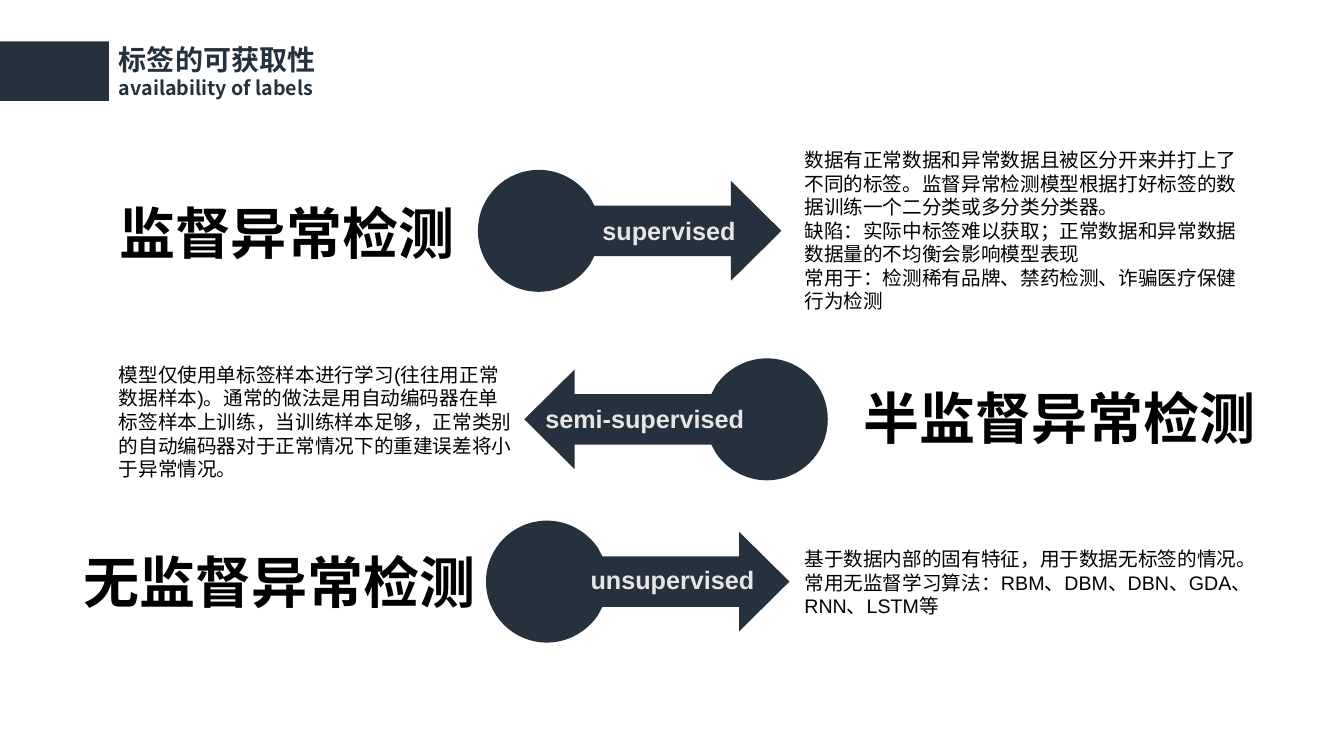
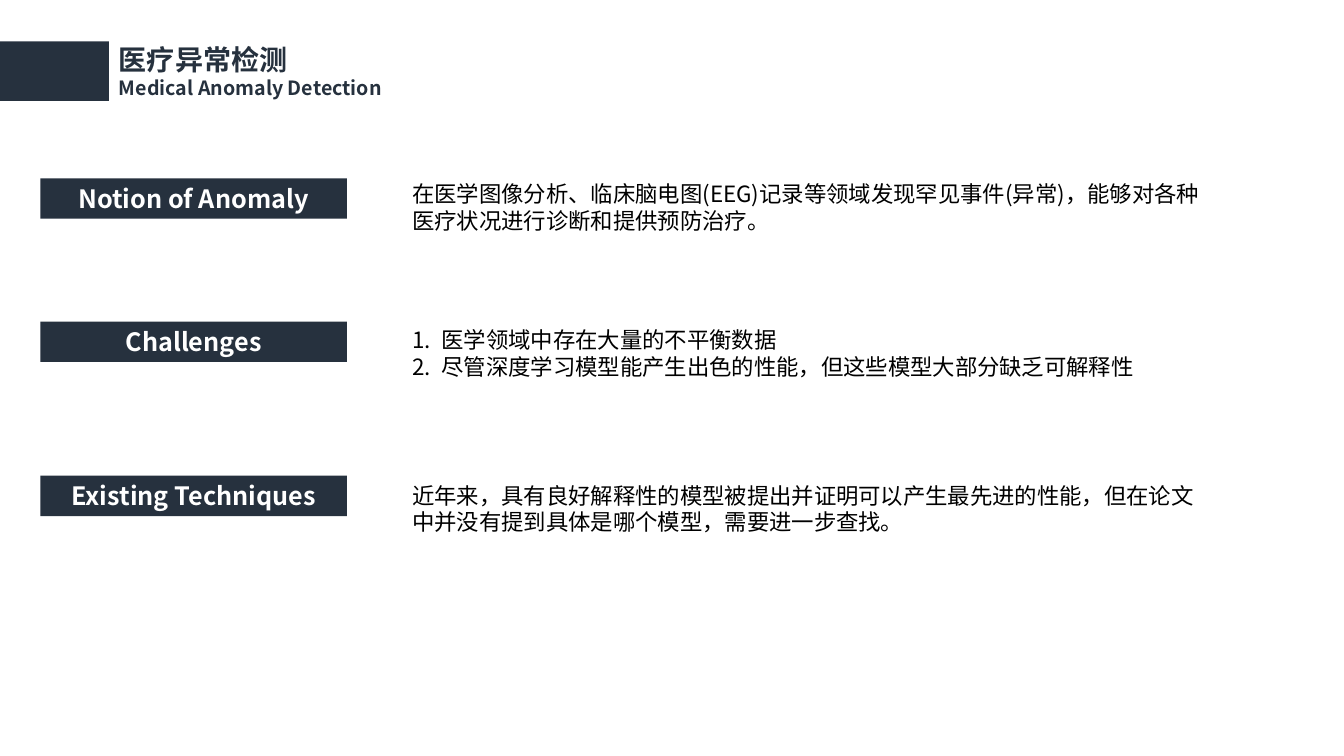
from lxml.etree import SubElement
from pptx import Presentation
from pptx.dml.color import RGBColor
from pptx.enum.shapes import MSO_SHAPE
from pptx.enum.text import MSO_ANCHOR, MSO_AUTO_SIZE, PP_ALIGN
from pptx.oxml.ns import qn
from pptx.util import Pt

PX = 9144  # 100 px to the inch
SLIDE_SIZE = (1333, 750)

NAVY = RGBColor(0x26, 0x31, 0x3E)
PALE = RGBColor(0xE7, 0xE6, 0xE6)
WHITE = RGBColor(0xFF, 0xFF, 0xFF)
BLACK = RGBColor(0x00, 0x00, 0x00)
ARIAL = "Arial"
NOTO = "Noto Sans CJK SC"
LINE_HEIGHT = 1.2

TITLE_BAND = (0, 41, 108, 59)
TITLE_BOX = (108, 37, 439, 67)

# Arrow with a round tail, as points around its middle line
ARROW_LENGTH = 301
TAIL_TOP = (60.5, -60.5)
TAIL_SHOULDER = [(81.5, -60.5), (100, -49.5), (111, -33.5)]
UPPER_SHAFT = [(115.5, -25), (251, -25), (251, -49.5)]
TIP = (301, 0)
TAIL_BACK = [(27, 60.5), (0, 33.5), (0, 0), (0, -33.5), (27, -60.5), TAIL_TOP]

LABELS_TITLE = ["标签的可获取性", "availability of labels"]
DETECTION_KINDS = [
    {
        "heading": "监督异常检测", "heading_box": (108, 192, 353, 77),
        "label": "supervised", "label_box": (584, 209, 159, 40),
        "middle": 229, "arrow_left": 474, "points_left": False,
        "body_box": (788, 142, 467, 175),
        "body": [
            "数据有正常数据和异常数据且被区分开来并打上了不同的标签。监督异常检测模型根据打好标签的数据训练一个二分类或多分类分类器。",
            "缺陷：实际中标签难以获取；正常数据和异常数据数据量的不均衡会影响模型表现",
            "常用于：检测稀有品牌、禁药检测、诈骗医疗保健行为检测",
        ],
    },
    {
        "heading": "半监督异常检测", "heading_box": (846, 376, 409, 77),
        "label": "semi-supervised", "label_box": (531, 395, 217, 40),
        "middle": 416, "arrow_left": 520, "points_left": True,
        "body_box": (108, 355, 413, 128),
        "body": [
            "模型仅使用单标签样本进行学习(往往用正常数据样本)。通常的做法是用自动编码器在单标签样本上训练，当训练样本足够，正常类别的自动编码器对于正常情况下的重建误差将小于异常情况。",
        ],
    },
    {
        "heading": "无监督异常检测", "heading_box": (72, 538, 409, 77),
        "label": "unsupervised", "label_box": (576, 555, 182, 40),
        "middle": 577, "arrow_left": 482, "points_left": False,
        "body_box": (788, 538, 467, 81),
        "body": [
            "基于数据内部的固有特征，用于数据无标签的情况。",
            "常用无监督学习算法：RBM、DBM、DBN、GDA、RNN、LSTM等",
        ],
    },
]

MEDICAL_TITLE = ["医疗异常检测", "Medical Anomaly Detection"]
TOPIC_LEFT, TOPIC_WIDTH, TOPIC_HEIGHT = 40, 304, 40
DETAIL_LEFT, DETAIL_HEIGHT = 399, 64
NUMBER_INDENT = 29
# Topic, top of its band, top and width of its details, whether numbered
MEDICAL_TOPICS = [
    ("Notion of Anomaly", 177, 174, 805, False, [
        "在医学图像分析、临床脑电图(EEG)记录等领域发现罕见事件(异常)，能够对各种医疗状况进行诊断和提供预防治疗。",
    ]),
    ("Challenges", 319, 319, 824, True, [
        "医学领域中存在大量的不平衡数据",
        "尽管深度学习模型能产生出色的性能，但这些模型大部分缺乏可解释性",
    ]),
    ("Existing Techniques", 472, 473, 805, False, [
        "近年来，具有良好解释性的模型被提出并证明可以产生最先进的性能，但在论文中并没有提到具体是哪个模型，需要进一步查找。",
    ]),
]


def emu(*lengths):
    return [round(length * PX) for length in lengths]


def number_paragraph(paragraph):
    properties = paragraph._p.get_or_add_pPr()
    indent, = emu(NUMBER_INDENT)
    properties.set("marL", str(indent))
    properties.set("indent", str(-indent))
    SubElement(properties, qn("a:buAutoNum"), type="arabicPeriod")


def write(shape, lines, sizes, font_name, color, bold=False, align=PP_ALIGN.LEFT,
          anchor=MSO_ANCHOR.TOP, wrap=True, numbered=False):
    """Fill a shape with one paragraph per line; sizes holds one size per line."""
    frame = shape.text_frame
    frame.text = "\n".join(lines)
    frame.word_wrap = wrap
    frame.auto_size = MSO_AUTO_SIZE.NONE
    frame.vertical_anchor = anchor
    for paragraph, size in zip(frame.paragraphs, sizes):
        paragraph.alignment = align
        paragraph.space_before = Pt(0)
        paragraph.line_spacing = Pt(size * LINE_HEIGHT)
        if numbered:
            number_paragraph(paragraph)
        for run in paragraph.runs:
            run.font.size = Pt(size)
            run.font.bold = bold
            run.font.name = font_name
            run.font.color.rgb = color
            SubElement(run._r.get_or_add_rPr(), qn("a:ea"), typeface=font_name)


def paint(shape):
    shape.shadow.inherit = False
    shape.fill.solid()
    shape.fill.fore_color.rgb = NAVY
    shape.line.fill.background()


def add_band(slide, box):
    band = slide.shapes.add_shape(MSO_SHAPE.RECTANGLE, *emu(*box))
    paint(band)
    return band


def add_text(slide, box, *args, **kwargs):
    write(slide.shapes.add_textbox(*emu(*box)), *args, **kwargs)


def place(placeholder, box):
    (placeholder.left, placeholder.top,
     placeholder.width, placeholder.height) = emu(*box)


def add_titled_slide(deck, layout_name, title_lines):
    slide = deck.slides.add_slide(deck.slide_layouts.get_by_name(layout_name))
    add_band(slide, TITLE_BAND)
    place(slide.shapes.title, TITLE_BOX)
    write(slide.shapes.title, title_lines, [20, 14], NOTO, NAVY, bold=True)
    return slide


def bend(shape, curve_starts):
    """Turn three line segments from each given index into one Bézier curve."""
    segments = list(shape._element.iter(qn("a:lnTo")))
    for start in curve_starts:
        first, *others = segments[start:start + 3]
        first.tag = qn("a:cubicBezTo")
        for segment in others:
            first.append(segment[0])
            segment.getparent().remove(segment)


def add_round_tail_arrow(slide, left, middle, points_left):
    upper = [TAIL_TOP, *TAIL_SHOULDER, *UPPER_SHAFT]
    lower = [(x, -y) for x, y in reversed(upper)]
    outline = [*upper, TIP, *lower, *TAIL_BACK]
    start, *others = [
        emu(left + (ARROW_LENGTH - x if points_left else x), middle + y)
        for x, y in outline]
    builder = slide.shapes.build_freeform(*start, scale=1.0)
    builder.add_line_segments(others, close=True)
    arrow = builder.convert_to_shape()
    back = len(others) - len(TAIL_BACK)
    bend(arrow, [0, back - 3, back, back + 3])
    paint(arrow)


def build_labels_slide(deck):
    slide = add_titled_slide(deck, "Title Only", LABELS_TITLE)
    for kind in DETECTION_KINDS:
        add_round_tail_arrow(slide, kind["arrow_left"], kind["middle"],
                             kind["points_left"])
        add_text(slide, kind["label_box"], [kind["label"]], [18], ARIAL, PALE,
                 bold=True, align=PP_ALIGN.CENTER, wrap=False)
        add_text(slide, kind["heading_box"], [kind["heading"]], [40], ARIAL, BLACK,
                 bold=True, align=PP_ALIGN.RIGHT, wrap=False)
        add_text(slide, kind["body_box"], kind["body"], [14] * len(kind["body"]),
                 ARIAL, BLACK)


def build_medical_slide(deck):
    slide = add_titled_slide(deck, "Title and Content", MEDICAL_TITLE)
    for topic, band_top, top, width, numbered, details in MEDICAL_TOPICS:
        band = add_band(slide, (TOPIC_LEFT, band_top, TOPIC_WIDTH, TOPIC_HEIGHT))
        write(band, [topic], [18], NOTO, WHITE, bold=True,
              align=PP_ALIGN.CENTER, anchor=MSO_ANCHOR.MIDDLE)
        box = (DETAIL_LEFT, top, width, DETAIL_HEIGHT)
        style = ([16] * len(details), NOTO, BLACK)
        if numbered:
            numbered_list = slide.placeholders[1]
            place(numbered_list, box)
            write(numbered_list, details, *style, numbered=True)
        else:
            add_text(slide, box, details, *style)


def main():
    deck = Presentation()
    deck.slide_width, deck.slide_height = emu(*SLIDE_SIZE)
    build_labels_slide(deck)
    build_medical_slide(deck)
    deck.save("out.pptx")


if __name__ == "__main__":
    main()
